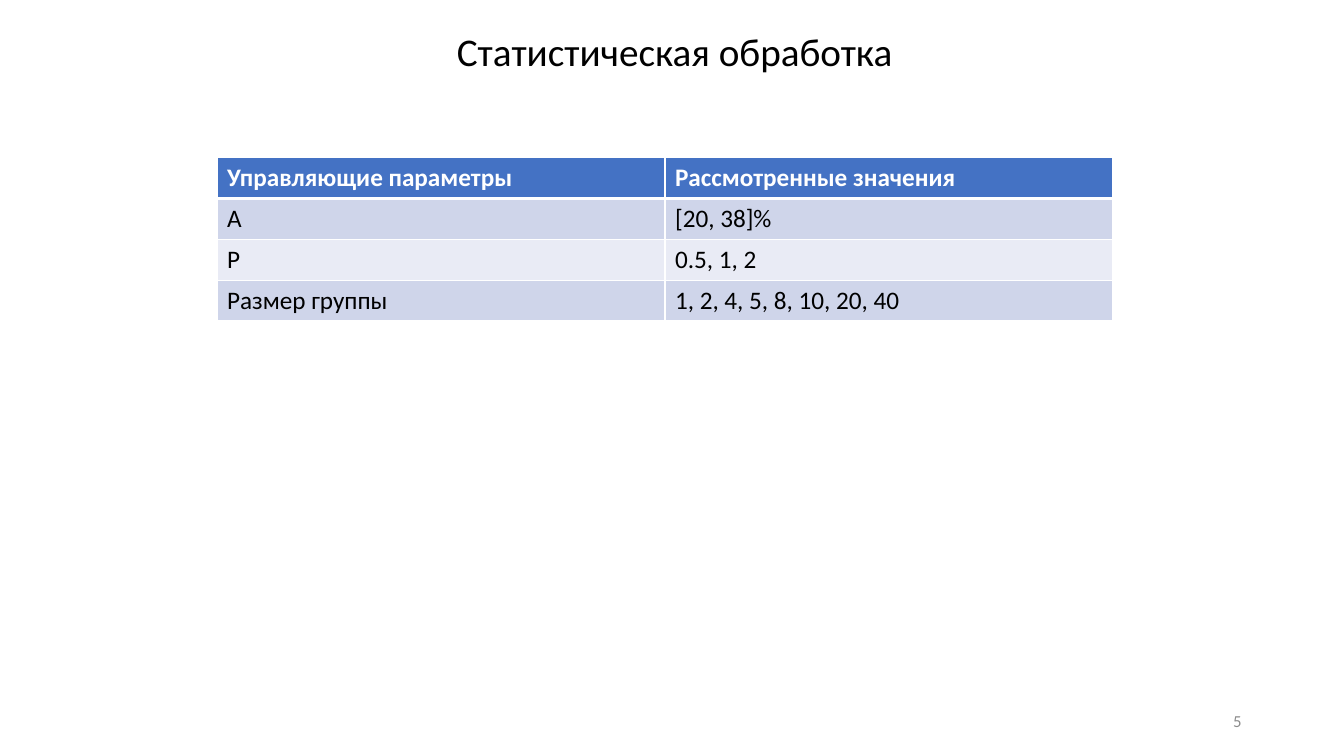
from lxml import etree
from pptx import Presentation
from pptx import util as u
from pptx.dml.color import RGBColor
from pptx.enum import text
from pptx.oxml import ns

COLORS = {
    "ink": "000000",
    "white": "FFFFFF",
    "header": "4472C4",
    "band_dark": "CFD5EA",
    "band_light": "E9EBF5",
    "number": "8C8C8C",
}


def write(frame, content, size=18, color="ink", bold=False,
          align=text.PP_ALIGN.LEFT, anchor=text.MSO_ANCHOR.TOP, wrap=True):
    frame.word_wrap = wrap
    frame.vertical_anchor = anchor
    paragraph = frame.paragraphs[0]
    paragraph.alignment = align
    run = paragraph.add_run()
    run.text = content
    run.font.name = "Calibri"
    run.font.size = u.Pt(size)
    run.font.bold = bold
    run.font.color.rgb = RGBColor.from_string(COLORS[color])


def set_borders(cell, widths):
    properties = cell._tc.get_or_add_tcPr()
    for index, (side, width) in enumerate(widths.items()):
        line = etree.Element(ns.qn(f"a:ln{side}"), w=str(u.Pt(width)))
        fill = etree.SubElement(line, ns.qn("a:solidFill"))
        etree.SubElement(fill, ns.qn("a:srgbClr"), val=COLORS["white"])
        properties.insert(index, line)


deck = Presentation()
deck.slide_width = u.Cm(33.87)
deck.slide_height = u.Cm(19.05)
slide = deck.slides.add_slide(deck.slide_layouts[5])

heading = slide.shapes.title
heading.left, heading.top = u.Cm(11.2), u.Cm(0.56)
heading.width, heading.height = u.Cm(11.6), u.Cm(1.45)
write(heading.text_frame, "Статистическая обработка", size=28,
      align=text.PP_ALIGN.CENTER, wrap=False)

parameters = [
    ("Управляющие параметры", "Рассмотренные значения"),
    ("A", "[20, 38]%"),
    ("P", "0.5, 1, 2"),
    ("Размер группы", "1, 2, 4, 5, 8, 10, 20, 40"),
]
grid = slide.shapes.add_table(
    len(parameters), 2, u.Cm(5.47), u.Cm(3.97), u.Cm(22.58), u.Cm(4.12)).table

for row, values in enumerate(parameters):
    is_header = row == 0
    band = "header" if is_header else ("band_light", "band_dark")[row % 2]
    for column, value in enumerate(values):
        cell = grid.cell(row, column)
        cell.fill.solid()
        cell.fill.fore_color.rgb = RGBColor.from_string(COLORS[band])
        set_borders(cell, {"L": 1, "R": 1, "T": 3 if row == 1 else 1,
                           "B": 3 if is_header else 1})
        write(cell.text_frame, value, bold=is_header,
              color="white" if is_header else "ink")

page_number = slide.shapes.add_textbox(
    u.Cm(23.92), u.Cm(17.66), u.Cm(7.62), u.Cm(1.01))
write(page_number.text_frame, "5", size=12, color="number",
      align=text.PP_ALIGN.RIGHT, anchor=text.MSO_ANCHOR.MIDDLE)

deck.save("out.pptx")
